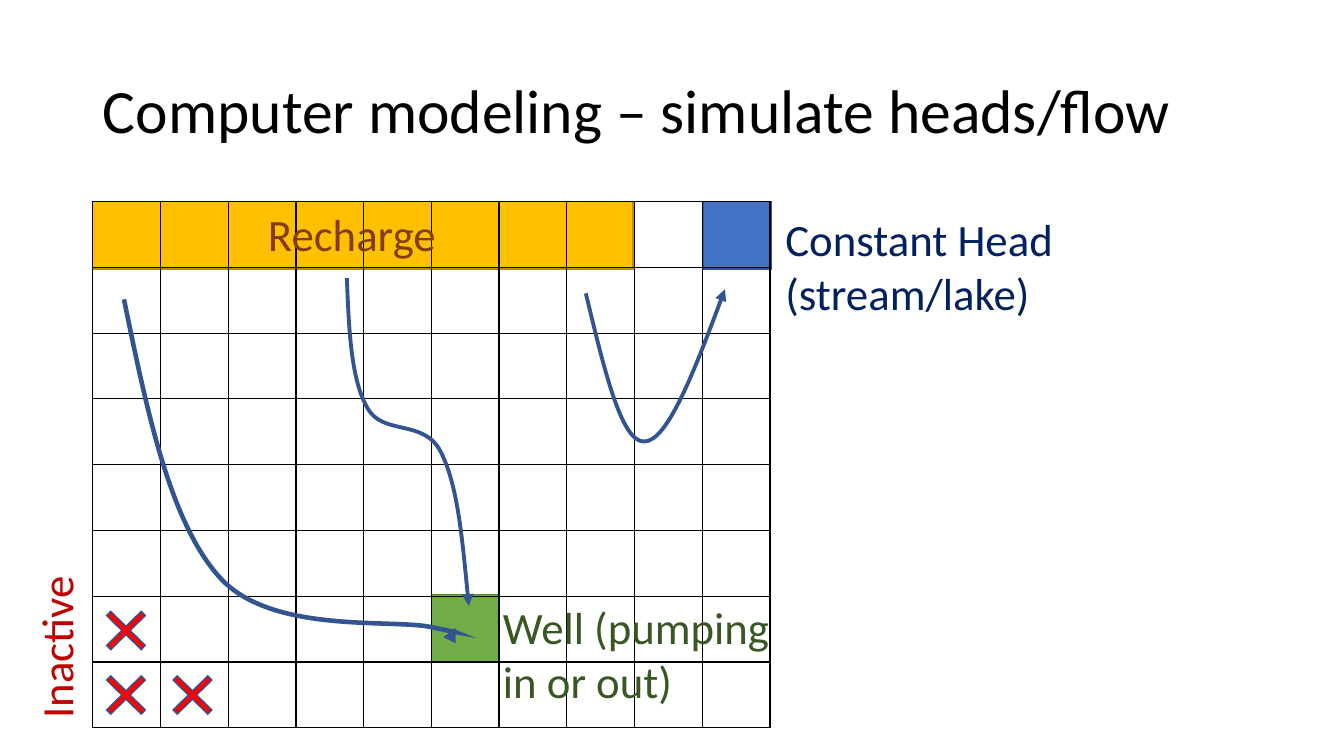
from dataclasses import dataclass
from typing import Optional

from lxml.etree import SubElement
from pptx import Presentation
from pptx.dml.color import RGBColor
from pptx.enum.shapes import MSO_SHAPE
from pptx.enum.text import MSO_ANCHOR, MSO_AUTO_SIZE, PP_ALIGN
from pptx.oxml.ns import qn
from pptx.shapes.autoshape import Shape
from pptx.slide import Slide
from pptx.text.text import TextFrame
from pptx.util import Emu, Pt

SCALE = 9144
FONT = "Calibri"
BLACK = RGBColor(0x00, 0x00, 0x00)
GREEN = RGBColor(0x70, 0xAD, 0x47)
LEAF = RGBColor(0x53, 0x80, 0x35)
BLUE = RGBColor(0x44, 0x72, 0xC4)
STEEL = RGBColor(0x32, 0x54, 0x91)
GOLD = RGBColor(0xFF, 0xC0, 0x00)
OCHRE = RGBColor(0xBD, 0x8E, 0x00)
RED = RGBColor(0xFF, 0x00, 0x00)
BROWN = RGBColor(0x84, 0x3C, 0x0B)
NAVY = RGBColor(0x00, 0x20, 0x60)
FOREST = RGBColor(0x38, 0x57, 0x23)
CRIMSON = RGBColor(0xC0, 0x00, 0x00)

LEFT, TOP, WIDTH, HEIGHT = 92, 200, 672, 522
COLS, ROWS = 10, 8
Point = tuple[int, int]


@dataclass(frozen=True)
class Block:
    left: int
    top: int
    width: int
    height: int
    fill: RGBColor
    edge: RGBColor
    kind: MSO_SHAPE = MSO_SHAPE.RECTANGLE
    adjust: Optional[float] = None


@dataclass(frozen=True)
class Label:
    text: str
    left: int
    top: int
    width: int
    height: int
    color: RGBColor
    turn: int = 0


@dataclass(frozen=True)
class Flow:
    left: int
    top: int
    width: int
    height: int
    points: tuple[Point, ...]
    weight: float


BLOCKS = [
    Block(428, 590, 67, 67, GREEN, LEAF),
    Block(698, 200, 67, 67, BLUE, STEEL),
    Block(LEFT, TOP, 536, 67, GOLD, OCHRE),
]
CROSSES = [
    Block(left, top, 66, 65, RED, STEEL, MSO_SHAPE.MATH_MULTIPLY, 0.09)
    for left, top in [(92, 657), (158, 657), (92, 593)]
]
LABELS = [
    Label("Recharge", 256, 200, 206, 64, BROWN),
    Label("Constant Head (stream/lake)", 769, 205, 301, 118, NAVY),
    Label("Well (pumping in or out)", 489, 590, 301, 118, FOREST),
    Label("Inactive", -95, 540, 301, 64, CRIMSON, 270),
]
FLOWS = [
    Flow(123, 297, 334, 330,
         ((123, 297), (146, 409), (169, 520), (219, 574), (270, 629),
          (388, 614), (427, 622), (465, 630), (459, 627), (452, 623)), 3.25),
    Flow(344, 276, 121, 326,
         ((344, 276), (346, 326), (348, 376), (364, 404), (379, 433),
          (420, 415), (437, 448), (454, 481), (459, 541), (465, 601)), 2.75),
    Flow(581, 287, 138, 151,
         ((581, 291), (599, 365), (616, 439), (639, 438), (662, 438),
          (691, 362), (719, 287)), 2.75),
]


def px(size: float) -> Emu:
    return Emu(round(size * SCALE))


def write(frame: TextFrame, text: str, *, size: int, color: RGBColor,
          space: Optional[float] = None) -> None:
    frame.word_wrap = True
    line = frame.paragraphs[0]
    line.alignment = PP_ALIGN.LEFT
    line.line_spacing = space
    run = line.add_run()
    run.text = text
    run.font.name = FONT
    run.font.size = Pt(size)
    run.font.color.rgb = color


def outline(shape: Shape, color: RGBColor, weight: float, arrow: bool = False) -> None:
    shape.shadow.inherit = False
    shape.line.color.rgb = color
    shape.line.width = Pt(weight)
    edge = shape.element.spPr.find(qn("a:ln"))
    SubElement(edge, qn("a:miter"), lim="800000")
    if arrow:
        SubElement(edge, qn("a:tailEnd"), type="triangle")


def add_title(slide: Slide) -> None:
    title = slide.shapes.title
    title.left, title.top = px(92), px(40)
    title.width, title.height = px(1150), px(145)
    title.text_frame.vertical_anchor = MSO_ANCHOR.MIDDLE
    write(title.text_frame, "Computer modeling – simulate heads/flow",
          size=44, color=BLACK, space=0.9)


def add_block(slide: Slide, block: Block) -> None:
    shape = slide.shapes.add_shape(
        block.kind, px(block.left), px(block.top), px(block.width), px(block.height))
    if block.adjust is not None:
        shape.adjustments[0] = block.adjust
    shape.fill.solid()
    shape.fill.fore_color.rgb = block.fill
    outline(shape, block.edge, 1)


def add_grid(slide: Slide) -> None:
    table = slide.shapes.add_table(
        ROWS, COLS, px(LEFT), px(TOP), px(WIDTH), px(HEIGHT)).table
    table.first_row = False
    table.horz_banding = False
    for col in table.columns:
        col.width = px(WIDTH / COLS)
    for row in table.rows:
        row.height = px(HEIGHT / ROWS)
    for cell in table.iter_cells():
        props = cell._tc.get_or_add_tcPr()
        for side in ("a:lnL", "a:lnR", "a:lnT", "a:lnB"):
            edge = SubElement(props, qn(side), w=str(Pt(1)))
            paint = SubElement(edge, qn("a:solidFill"))
            SubElement(paint, qn("a:srgbClr"), val=str(BLACK))
        cell.fill.background()


def add_label(slide: Slide, label: Label) -> None:
    box = slide.shapes.add_textbox(
        px(label.left), px(label.top), px(label.width), px(label.height))
    box.rotation = label.turn
    box.text_frame.auto_size = MSO_AUTO_SIZE.SHAPE_TO_FIT_TEXT
    write(box.text_frame, label.text, size=32, color=label.color)


def add_flow(slide: Slide, flow: Flow) -> None:
    builder = slide.shapes.build_freeform(flow.left, flow.top, scale=SCALE)
    corner = (flow.left + flow.width, flow.top + flow.height)
    builder.add_line_segments([corner], close=False)
    shape = builder.convert_to_shape()
    trace = next(shape.element.iter(qn("a:path")))
    for step in list(trace):
        trace.remove(step)
    for index, (x, y) in enumerate(flow.points):
        if index == 0:
            step = SubElement(trace, qn("a:moveTo"))
        elif index % 3 == 1:
            step = SubElement(trace, qn("a:cubicBezTo"))
        SubElement(step, qn("a:pt"), x=str(x - flow.left), y=str(y - flow.top))
    shape.fill.background()
    outline(shape, STEEL, flow.weight, arrow=True)


def main() -> None:
    deck = Presentation()
    deck.slide_width, deck.slide_height = px(1333), px(750)
    slide = deck.slides.add_slide(deck.slide_layouts[5])
    add_title(slide)
    for block in BLOCKS:
        add_block(slide, block)
    add_grid(slide)
    for label in LABELS:
        add_label(slide, label)
    for cross in CROSSES:
        add_block(slide, cross)
    for flow in FLOWS:
        add_flow(slide, flow)
    deck.save("out.pptx")


if __name__ == "__main__":
    main()
